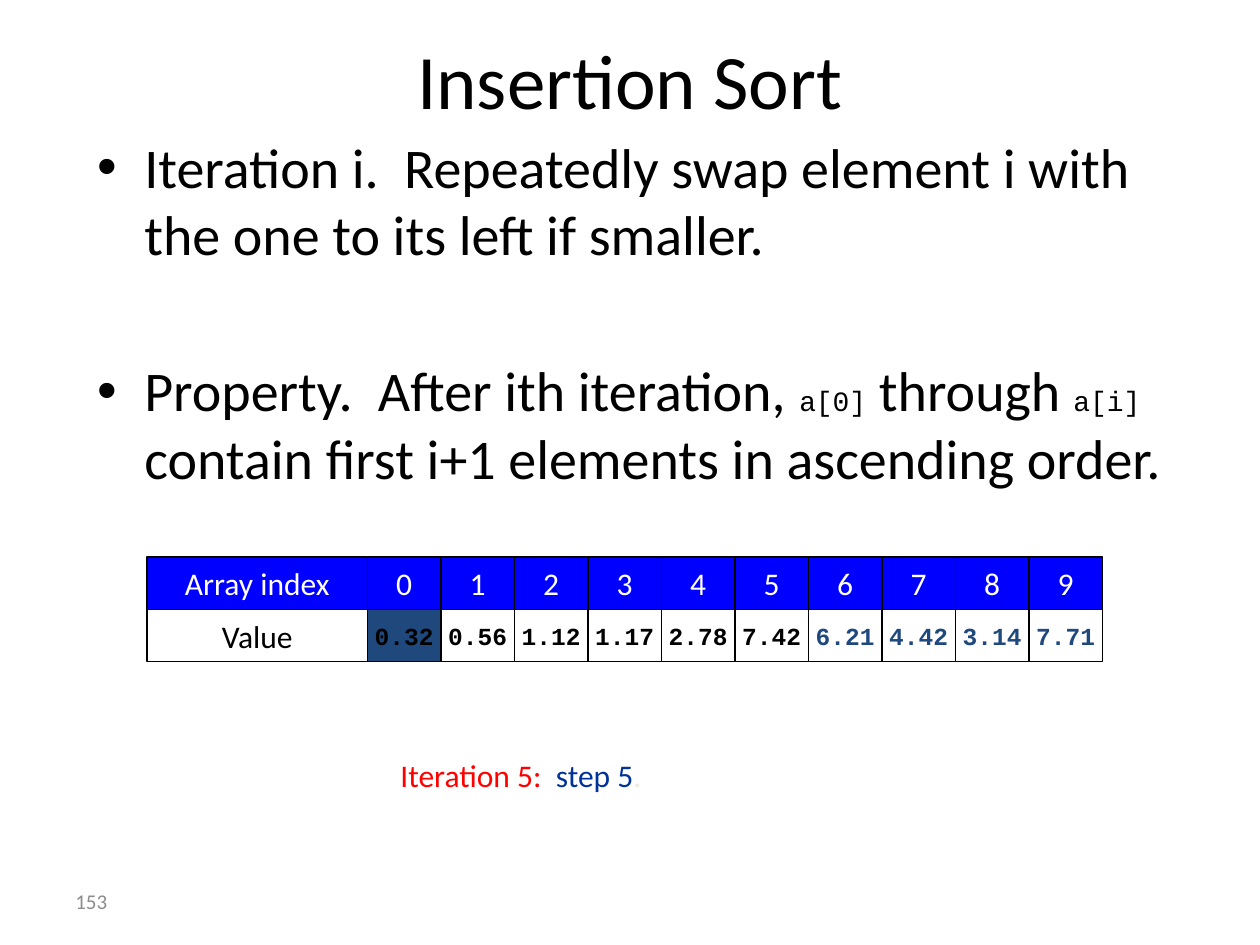
from pptx import Presentation
from pptx.dml.color import RGBColor
from pptx.enum.shapes import MSO_SHAPE
from pptx.enum.text import MSO_ANCHOR, MSO_AUTO_SIZE, PP_ALIGN
from pptx.util import Inches, Pt

BODY, CODE = "Calibri", "Courier New"
BLACK, WHITE, BLUE, NAVY = "000000", "FFFFFF", "0000FF", "1F497D"
VALUES = ["0.32", "0.56", "1.12", "1.17", "2.78",
          "7.42", "6.21", "4.42", "3.14", "7.71"]
STEP = 5  # current iteration: cells after it are still unsorted

# Array grid, in inches: the label is three cells wide
CELL, ROW = 7 / 12, 5 / 12
LEFT, TOP = 2 * CELL, 4.42
LABEL = 3 * CELL


def paint(hue):
    return RGBColor.from_string(hue)


def style(run, size, hue=BLACK, face=BODY, bold=False):
    font = run.font
    font.size, font.name, font.bold = Pt(size), face, bold
    font.color.rgb = paint(hue)


def write(para, parts):
    """Add runs given as (text, size, colour, font)."""
    for text, *look in parts:
        run = para.add_run()
        run.text = text
        style(run, *look)


def place(shape, x, y, w, h):
    shape.left, shape.top = Inches(x), Inches(y)
    shape.width, shape.height = Inches(w), Inches(h)


def add_cell(shapes, x, y, w, text, fill, *look):
    box = shapes.add_shape(MSO_SHAPE.RECTANGLE, Inches(x), Inches(y),
                           Inches(w), Inches(ROW))
    box.shadow.inherit = False
    box.fill.solid()
    box.fill.fore_color.rgb = paint(fill)
    box.line.color.rgb = paint(BLACK)
    box.line.width = Pt(0.75)
    frame = box.text_frame
    frame.text = text
    frame.word_wrap = False
    frame.vertical_anchor = MSO_ANCHOR.MIDDLE
    para = frame.paragraphs[0]
    para.alignment = PP_ALIGN.CENTER
    style(para.runs[0], *look)


def add_text(slide, x, y, w, h, parts):
    box = slide.shapes.add_textbox(*map(Inches, (x, y, w, h)))
    frame = box.text_frame
    frame.word_wrap = True
    frame.vertical_anchor = MSO_ANCHOR.MIDDLE
    write(frame.paragraphs[0], parts)


def fill_title(slide):
    title = slide.shapes.title
    place(title, 0.5, 0, 9, 1.25)
    title.text_frame.text = "Insertion Sort"
    style(title.text_frame.paragraphs[0].runs[0], 44)


def fill_body(slide):
    body = slide.placeholders[1]
    place(body, 0.67, 1, 8.83, 5.92)
    frame = body.text_frame
    frame.auto_size = MSO_AUTO_SIZE.NONE
    write(frame.paragraphs[0], [
        ("Iteration i.  Repeatedly swap element i with "
         "the one to its left if smaller.", 32)])
    para = frame.add_paragraph()
    para.space_before = Pt(51)
    write(para, [
        ("Property.  After ith iteration, ", 32),
        ("a[0]", 16, BLACK, CODE),
        (" through ", 32),
        ("a[i]", 16, BLACK, CODE),
        (" contain first i+1 elements in ascending order.", 32)])


def add_array(slide):
    # Header row is one group, values lie below it
    head = slide.shapes.add_group_shape().shapes
    cells = slide.shapes
    low = TOP + ROW
    add_cell(head, LEFT, TOP, LABEL, "Array index", BLUE, 18, WHITE)
    add_cell(cells, LEFT, low, LABEL, "Value", WHITE, 18)
    for i, value in enumerate(VALUES):
        x = LEFT + LABEL + i * CELL
        add_cell(head, x, TOP, CELL, str(i), BLUE, 18, WHITE)
        add_cell(cells, x, low, CELL, value, WHITE if i else NAVY,
                 14, NAVY if i > STEP else BLACK, CODE, True)


def main():
    deck = Presentation()
    deck.slide_width, deck.slide_height = Inches(10), Inches(7.5)
    slide = deck.slides.add_slide(deck.slide_layouts[1])

    fill_title(slide)
    fill_body(slide)
    add_array(slide)

    # Caption and page number
    add_text(slide, 3.08, 5.95, 4.08, 0.4, [
        (f"Iteration {STEP}:  ", 18, "FF0000"),
        ("step 5", 18, "003399"),
        (".", 18, "EEECE1")])
    add_text(slide, 0.5, 6.95, 2.33, 0.4, [("153", 12, "8C8C8C")])

    deck.save("out.pptx")


if __name__ == "__main__":
    main()
